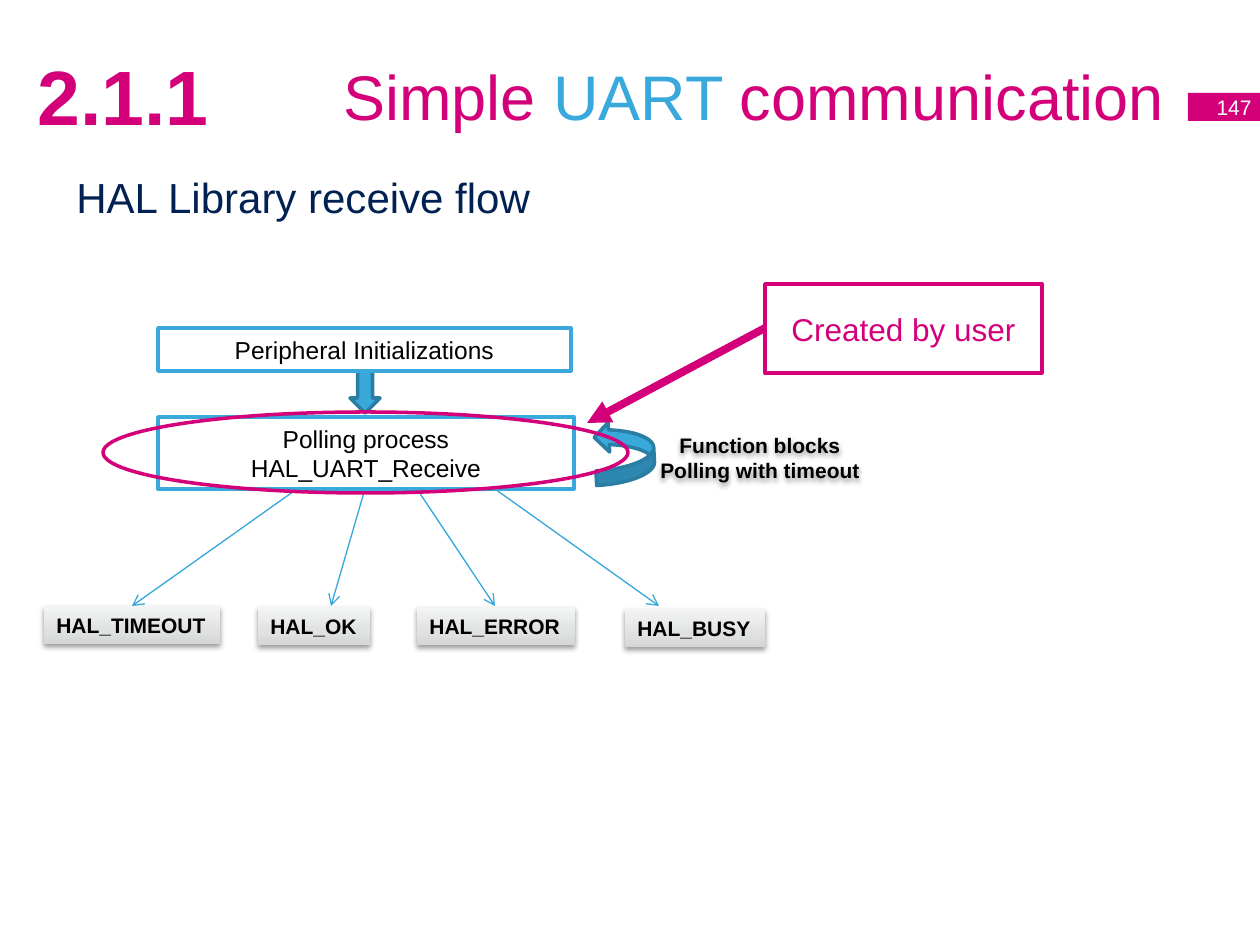
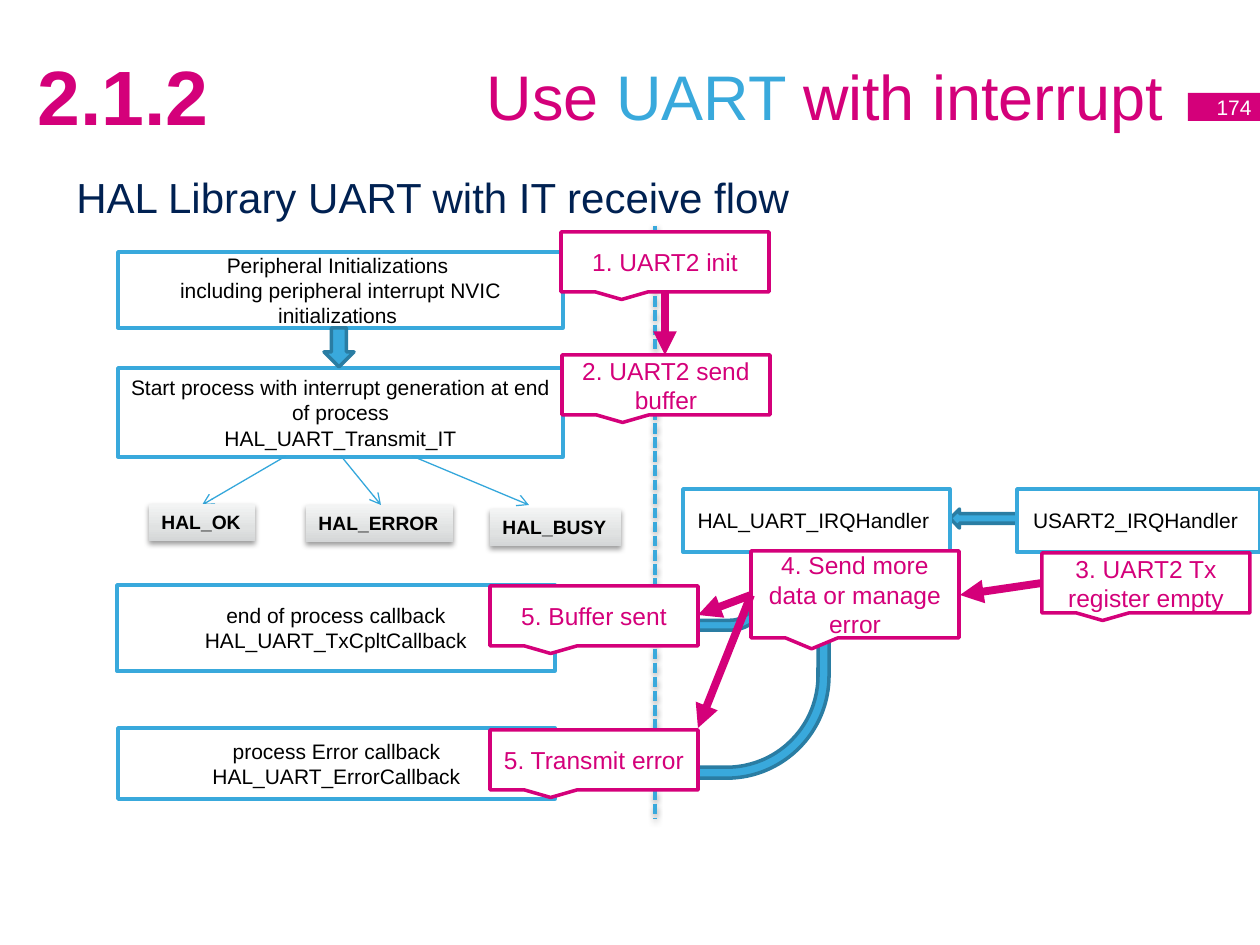
from copy import deepcopy
from lxml.etree import SubElement as Sub
from pptx import Presentation
from pptx.dml.color import RGBColor as Rgb
from pptx.enum.dml import MSO_LINE as Dash
from pptx.enum.shapes import MSO_CONNECTOR as Conn, MSO_SHAPE as Kind
from pptx.enum.text import MSO_ANCHOR as Anchor, PP_ALIGN as Align
from pptx.oxml.ns import qn
from pptx.util import Emu, Pt

PINK = Rgb(0xD4, 0x00, 0x7A)
BLUE = Rgb(0x39, 0xA9, 0xDC)
SKY = Rgb(0x34, 0xA7, 0xDB)
TEAL = Rgb(0x2A, 0x7D, 0xA3)
NAVY = Rgb(0x00, 0x21, 0x52)
BLACK = Rgb(0, 0, 0)
WHITE = Rgb(255, 255, 255)
GREYS = (
    (0, Rgb(0xD4, 0xD6, 0xD7)),
    (0.35, Rgb(0xE0, 0xE2, 0xE2)),
    (1, Rgb(0xF3, 0xF4, 0xF4)),
)
FONT = "Arial"
SCALE = 914400 / 126
STEP = dict(fill=WHITE, line=BLUE)
ARROW = dict(fill=BLUE, line=TEAL)


def px(num):
    return Emu(round(num * SCALE))


def apply(item, form):
    for key, value in form.items():
        setattr(item, key, value)


def effect(item, shade):
    props = item._element.spPr
    node = props.find(qn("a:effectLst"))
    if node is None:
        node = Sub(props, qn("a:effectLst"))
    if shade:
        cast = Sub(node, qn("a:outerShdw"), blurRad="39370", dist="20320",
                   dir="5400000", rotWithShape="0")
        tone = Sub(cast, qn("a:srgbClr"), val=str(BLACK))
        Sub(tone, qn("a:alpha"), val="38000")


def write(shape, paras, tint=BLACK, size=12, bold=False, align=Align.CENTER,
          anchor=Anchor.MIDDLE, wrap=True):
    frame = shape.text_frame
    apply(frame, dict(word_wrap=wrap, vertical_anchor=anchor))
    for num, runs in enumerate(paras):
        para = frame.add_paragraph() if num else frame.paragraphs[0]
        para.alignment = align
        for text, hue in [(runs, tint)] if isinstance(runs, str) else runs:
            run = para.add_run()
            run.text = text
            apply(run.font, dict(name=FONT, size=Pt(size), bold=bold))
            run.font.color.rgb = hue


class Pane:
    def __init__(self, slide, left, top):
        self.shapes = slide.shapes
        self.left, self.top = left, top

    def spot(self, x, y):
        return px(self.left + x), px(self.top + y)

    def text(self, box, paras, **form):
        x, y, w, h = box
        item = self.shapes.add_textbox(*self.spot(x, y), px(w), px(h))
        write(item, paras, **form)
        return item

    def shape(self, kind, box, fill=None, line=None, turn=0, adjust=()):
        x, y, w, h = box
        item = self.shapes.add_shape(kind, *self.spot(x, y), px(w), px(h))
        item.shadow.inherit = False
        item.rotation = turn
        for num, value in enumerate(adjust):
            item.adjustments[num] = value
        if fill is None:
            item.fill.background()
        else:
            item.fill.solid()
            item.fill.fore_color.rgb = fill
        if line is None:
            item.line.fill.background()
        else:
            item.line.color.rgb = line
            item.line.width = Pt(2)
        return item

    def line(self, start, end, tint, width, head=None, dash=None, shade=False):
        item = self.shapes.add_connector(
            Conn.STRAIGHT, *self.spot(*start), *self.spot(*end))
        item.line.color.rgb = tint
        apply(item.line, dict(width=Pt(width), dash_style=dash))
        if head:
            Sub(item.line._get_or_add_ln(), qn("a:tailEnd"), type=head)
        effect(item, shade)

    def point(self, start, end):
        self.line(start, end, PINK, 4.5, "triangle")


def header(slide, box, mark, title, topic, page):
    pane = Pane(slide, *box)
    left = dict(align=Align.LEFT)
    pane.text((63, 16, 1113, 158), [title], size=36, align=Align.RIGHT)
    pane.text((64, 165, 1134, 176), [topic], tint=NAVY, size=24,
              anchor=Anchor.TOP, **left)
    badge = pane.shape(Kind.RECTANGLE, (1188, 93, 76, 28), PINK)
    write(badge, [page], WHITE, align=Align.RIGHT, wrap=False)
    pane.text((25, 16, 238, 158), [mark], tint=PINK, size=44, bold=True, **left)


def codes(slide, box, drop, high, size, rows):
    pane = Pane(slide, *box)
    for name, start, end, x, y, wide in rows:
        pane.line((start, 0), (end, drop), SKY, 0.75, "arrow")
        tag = pane.shape(Kind.RECTANGLE, (x, y, wide, high))
        tag.fill.gradient()
        tag.fill.gradient_angle = 90
        stops = tag._element.spPr.find(".//" + qn("a:gsLst"))
        stops.insert(1, deepcopy(stops[0]))
        for stop, (place, grey) in zip(tag.fill.gradient_stops, GREYS):
            stop.position = place
            stop.color.rgb = grey
        effect(tag, True)
        write(tag, [name], size=size, bold=True, align=Align.LEFT,
              anchor=Anchor.TOP, wrap=False)


def steps(pane, size, rows):
    for box, paras in rows:
        write(pane.shape(Kind.RECTANGLE, box, **STEP), paras, size=size)


def polling(slide, box):
    pane = Pane(slide, *box)
    pane.shape(Kind.DOWN_ARROW, (192, 42, 30, 43), **ARROW)
    pane.shape(Kind.CURVED_UP_ARROW, (435, 95, 63, 59), turn=267, **ARROW)
    note = pane.text((488, 98, 228, 63),
                     ["Function blocks", "Polling with timeout"],
                     bold=True, anchor=Anchor.TOP, wrap=False)
    effect(note, True)
    steps(pane, 14, (
        ((0, 0, 413, 43), ["Peripheral Initializations"]),
        ((0, 89, 416, 72), ["Polling process", "HAL_UART_Receive"]),
    ))
    pane.shape(Kind.OVAL, (-55, 84, 525, 81), line=PINK)
    user = pane.shape(Kind.RECTANGLE, (607, -44, 277, 89), line=PINK)
    write(user, ["Created by user"], PINK, 18)
    pane.point((607, 0), (429, 95))


def process(slide, box):
    pane = Pane(slide, *box)
    steps(pane, 12, (
        ((0, 0, 445, 76), [
            "Peripheral Initializations ",
            "including peripheral interrupt NVIC initializations "]),
        ((0, 116, 445, 89), [
            "Start process with interrupt generation at end of process",
            "HAL_UART_Transmit_IT"]),
        ((-1, 333, 438, 86), [
            "end of process callback", "HAL_UART_TxCpltCallback"]),
        ((0, 476, 437, 71), [
            "process Error callback", "HAL_UART_ErrorCallback"]),
    ))
    pane.shape(Kind.DOWN_ARROW, (206, 76, 30, 39), **ARROW)


def handlers(slide, box):
    pane = Pane(slide, *box)
    pane.line((99, -263), (99, 330), BLUE, 2, dash=Dash.SQUARE_DOT, shade=True)
    pane.shape(Kind.LEFT_ARROW, (394, 20, 92, 19), **ARROW)
    steps(pane, 12, (
        ((127, 0, 267, 63), ["HAL_UART_IRQHandler "]),
        ((461, 0, 243, 63), ["USART2_IRQHandler "]),
    ))
    for wide, high, adjust in (
        (212, 87, (0.114, 0.158, 0.25, 0.438)),
        (273, 234, (0.047, 0.057, 0.086, 0.438)),
    ):
        pane.shape(Kind.BENT_ARROW, (0, 63, wide, high), turn=180,
                   adjust=adjust, **ARROW)


def callouts(slide, box):
    pane = Pane(slide, *box)
    pane.point((175, 60), (175, 123))
    for x, y, high, text in (
        (71, 0, 60, "1. UART2 init"),
        (72, 123, 60, "2. UART2 send buffer"),
        (552, 321, 60, "3. UART2 Tx register empty"),
        (261, 319, 87, "4. Send more data or manage error"),
        (0, 354, 60, "5. Buffer sent"),
        (0, 498, 60, "5. Transmit error"),
    ):
        call = pane.shape(Kind.RECTANGULAR_CALLOUT, (x, y, 208, high),
                          WHITE, PINK)
        write(call, [text], PINK, 14)
    pane.point((552, 351), (470, 363))
    for y in (383, 496):
        pane.point((261, 363), (208, y))


def main():
    deck = Presentation()
    apply(deck, dict(slide_width=px(1260), slide_height=px(945)))
    blank = deck.slide_layouts[6]

    slide = deck.slides.add_slide(blank)
    title = [("Simple ", PINK), ("UART ", BLUE), ("communication", PINK)]
    header(slide, (0, 0), "2.1.1", title, "HAL Library receive flow", "147")
    codes(slide, (44, 489), 117, 38, 12, (
        ("HAL_TIMEOUT", 253, 88, 0, 117, 176),
        ("HAL_OK", 321, 287, 214, 118, 112),
        ("HAL_ERROR", 373, 451, 373, 118, 158),
        ("HAL_BUSY", 451, 615, 581, 120, 140),
    ))
    polling(slide, (158, 328))

    slide = deck.slides.add_slide(blank)
    title = [("Use ", PINK), ("UART ", BLUE), ("with interrupt", PINK)]
    header(slide, (0, 0), "2.1.2", title,
           "HAL Library UART with IT receive flow", "174")
    process(slide, (118, 252))
    codes(slide, (149, 456), 49, 37, 11, (
        ("HAL_OK", 137, 53, 0, 48, 106),
        ("HAL_ERROR", 192, 232, 157, 49, 147),
        ("HAL_BUSY", 263, 380, 341, 53, 131),
    ))
    handlers(slide, (556, 489))
    callouts(slide, (490, 232))
    deck.save("out.pptx")


if __name__ == "__main__":
    main()
